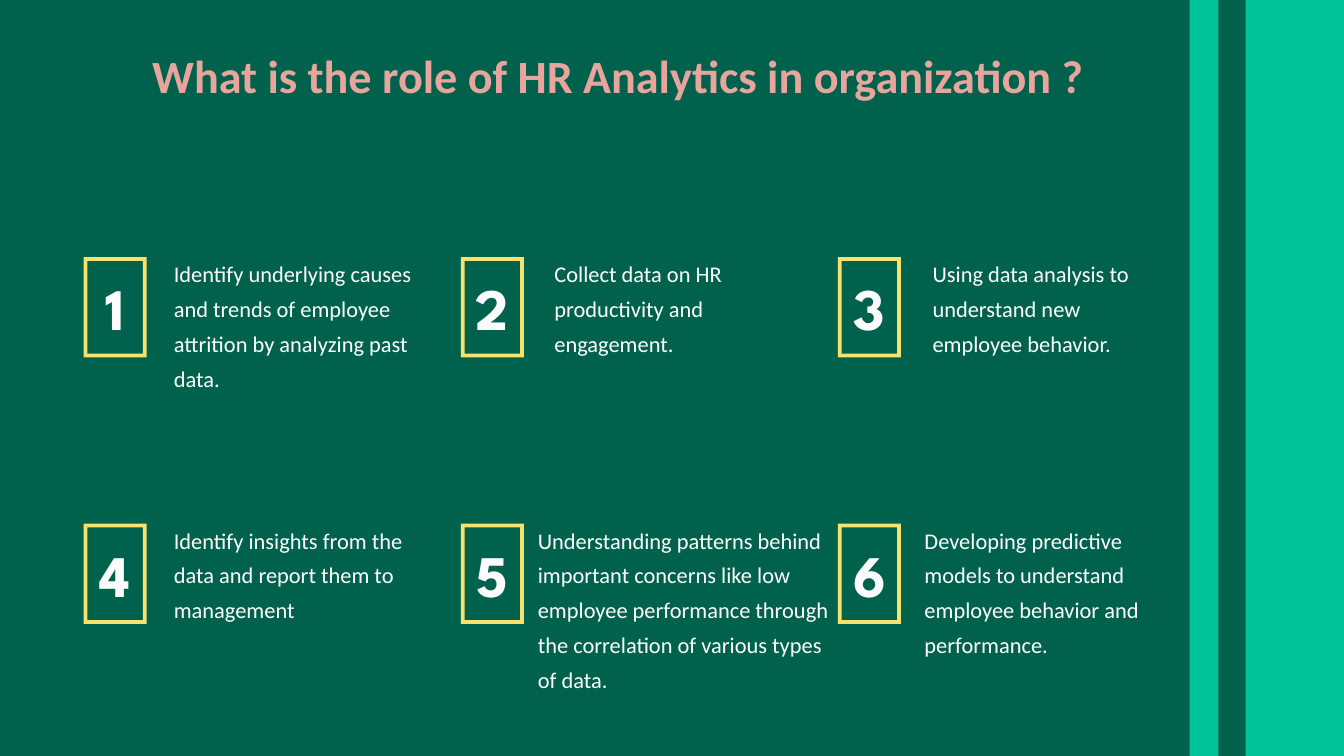
"""Build the slide on the role of HR analytics in an organization."""
from dataclasses import dataclass

from pptx import Presentation
from pptx.dml.color import RGBColor
from pptx.enum.shapes import MSO_SHAPE
from pptx.enum.text import MSO_ANCHOR, MSO_AUTO_SIZE, PP_ALIGN
from pptx.util import Inches, Pt

FRAME = MSO_SHAPE.FRAME
TOP, MIDDLE, BOTTOM = MSO_ANCHOR.TOP, MSO_ANCHOR.MIDDLE, MSO_ANCHOR.BOTTOM
LEFT, CENTER = PP_ALIGN.LEFT, PP_ALIGN.CENTER
GROW = MSO_AUTO_SIZE.SHAPE_TO_FIT_TEXT

DARK_GREEN = RGBColor(0x00, 0x62, 0x4D)
MINT = RGBColor(0x00, 0xC3, 0x9A)
YELLOW = RGBColor(0xF8, 0xE1, 0x6C)
WHITE = RGBColor(0xFF, 0xFF, 0xFF)
OFF_WHITE = RGBColor(0xFC, 0xFC, 0xFC)
PINK = RGBColor(0xE8, 0xA5, 0x9E)

SLIDE_WIDTH, SLIDE_HEIGHT = 26.66, 15
STRIPES = ((23.6, 24.17), (24.71, SLIDE_WIDTH))
COLUMNS = 3
GRID_LEFT, GRID_TOP = 1.66, 5.1
COLUMN_STEP, ROW_STEP = 7.48, 5.29
FRAME_WIDTH, FRAME_HEIGHT = 1.25, 1.99


@dataclass(frozen=True)
class TextStyle:
    font: dict
    paragraph: dict
    color: RGBColor
    anchor: MSO_ANCHOR


@dataclass(frozen=True)
class Role:
    text: str
    left: float
    width: float
    height: float


TITLE = TextStyle({"name": "Calibri", "size": Pt(66), "bold": True},
                  {"alignment": LEFT}, PINK, BOTTOM)
NUMBER = TextStyle({"name": "League Spartan", "size": Pt(84), "bold": True},
                   {"alignment": CENTER}, OFF_WHITE, MIDDLE)
BODY = TextStyle({"name": "Calibri", "size": Pt(32)},
                 {"alignment": LEFT, "line_spacing": 1.3,
                  "space_before": Pt(12), "space_after": Pt(6)}, WHITE, TOP)

ROLES = (
    Role("Identify underlying causes and trends of employee attrition "
         "by analyzing past data.", 3.35, 5.34, 2.84),
    Role("Collect data on HR productivity and engagement.", 10.9, 4.9, 2.14),
    Role("Using data analysis to understand new employee behavior.",
         18.4, 4.6, 2.14),
    Role("Identify insights from the data and report them to management",
         3.35, 5.18, 2.14),
    Role("Understanding patterns behind important concerns like low employee "
         "performance through the correlation of various types of data.",
         10.57, 6.05, 3.54),
    Role("Developing predictive models to understand employee behavior "
         "and performance.", 18.24, 5.27, 3.8),
)


def apply_format(target, values: dict) -> None:
    for attribute, value in values.items():
        setattr(target, attribute, value)


def fill_plain(shape, color: RGBColor) -> None:
    shape.shadow.inherit = False
    shape.fill.solid()
    shape.fill.fore_color.rgb = color
    shape.line.fill.background()


def draw_text(slide, text: str, left: float, top: float, width: float,
              height: float, style: TextStyle) -> None:
    box = slide.shapes.add_textbox(Inches(left), Inches(top),
                                   Inches(width), Inches(height))
    apply_format(box.text_frame, {"word_wrap": True, "auto_size": GROW,
                                  "vertical_anchor": style.anchor})
    paragraph = box.text_frame.paragraphs[0]
    apply_format(paragraph, style.paragraph)
    run = paragraph.add_run()
    run.text = text
    apply_format(run.font, style.font)
    run.font.color.rgb = style.color


def draw_stripes(slide) -> None:
    bottom = Inches(SLIDE_HEIGHT)
    builder = slide.shapes.build_freeform(Inches(STRIPES[0][0]), 0)
    for start, end in STRIPES:
        left, right = Inches(start), Inches(end)
        builder.move_to(left, 0)
        builder.add_line_segments([(right, 0), (right, bottom), (left, bottom)])
    fill_plain(builder.convert_to_shape(), MINT)


def draw_role(slide, index: int, role: Role) -> None:
    row, column = divmod(index, COLUMNS)
    left = GRID_LEFT + column * COLUMN_STEP
    top = GRID_TOP + row * ROW_STEP
    frame = slide.shapes.add_shape(FRAME, Inches(left), Inches(top),
                                   Inches(FRAME_WIDTH), Inches(FRAME_HEIGHT))
    frame.adjustments[0] = 0.06
    fill_plain(frame, YELLOW)
    draw_text(slide, str(index + 1), left + 0.01, top + 0.24, 1.24, 1.51, NUMBER)
    draw_text(slide, role.text, role.left, top - 0.15, role.width, role.height, BODY)


def main() -> None:
    presentation = Presentation()
    presentation.slide_width = Inches(SLIDE_WIDTH)
    presentation.slide_height = Inches(SLIDE_HEIGHT)
    slide = presentation.slides.add_slide(presentation.slide_layouts[6])
    slide.background.fill.solid()
    slide.background.fill.fore_color.rgb = DARK_GREEN
    draw_stripes(slide)
    for index, role in enumerate(ROLES):
        draw_role(slide, index, role)
    draw_text(slide, "What is the role of HR Analytics in organization ?",
              2.92, 0.88, 19.04, 1.21, TITLE)
    presentation.save("out.pptx")


if __name__ == "__main__":
    main()
